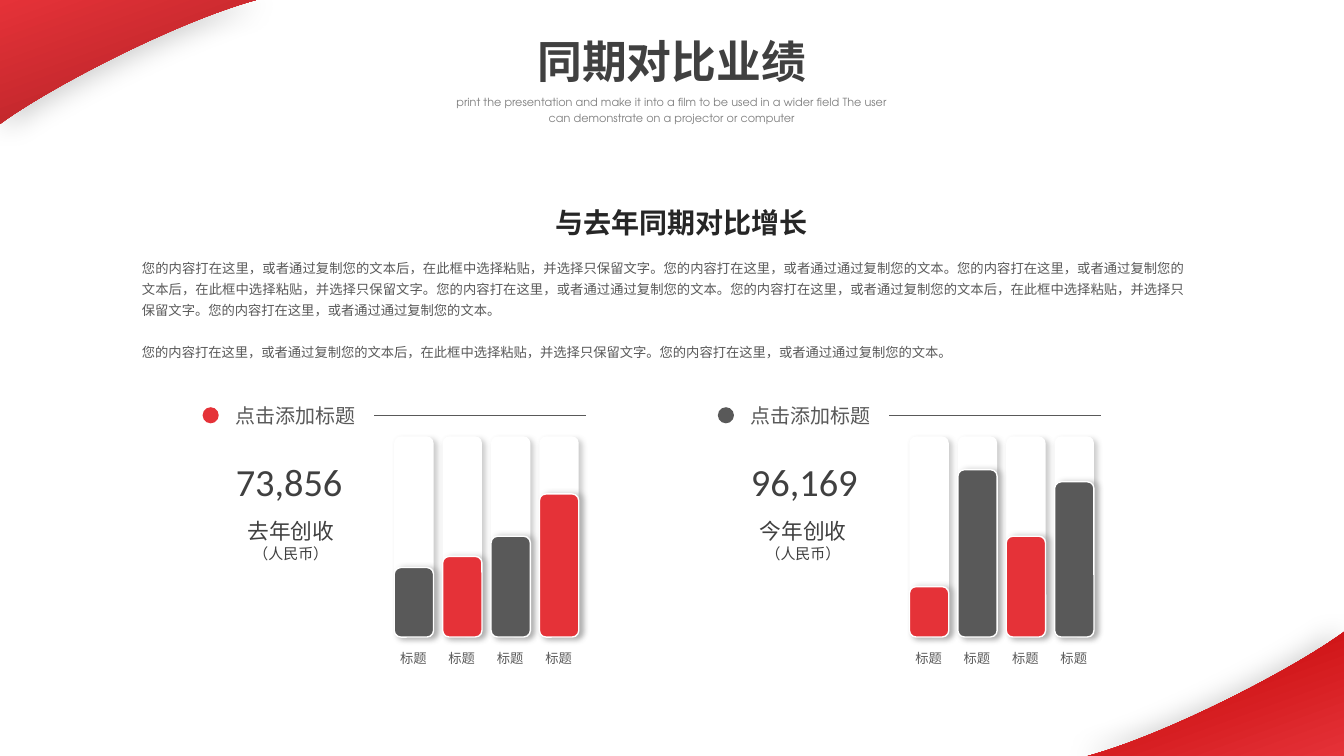
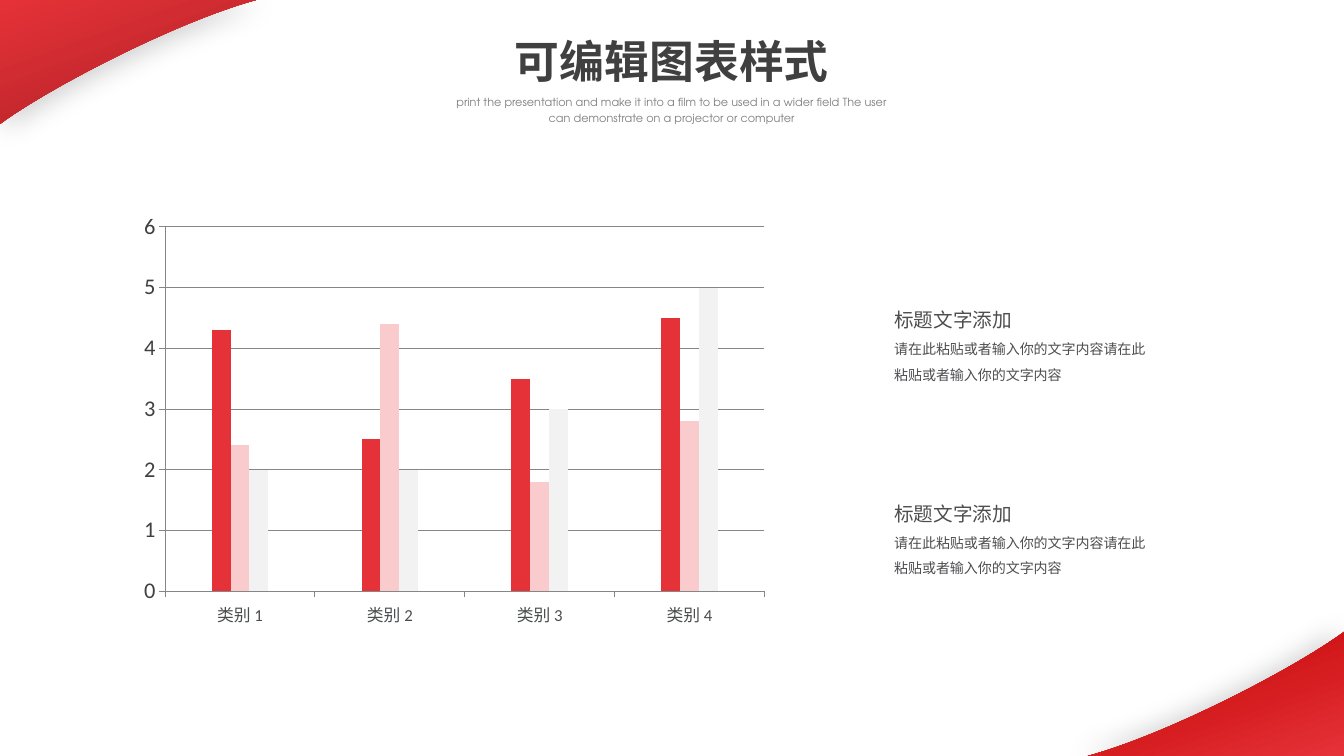
"""Build two slides on year-on-year results: paired bar panels and a column chart."""
from lxml.etree import SubElement
from pptx import Presentation
from pptx.chart.data import CategoryChartData
from pptx.dml.color import RGBColor
from pptx.enum.chart import XL_CHART_TYPE as ChartType
from pptx.enum.shapes import MSO_CONNECTOR as Connector, MSO_SHAPE as Shape
from pptx.enum.text import MSO_AUTO_SIZE as AutoSize, PP_ALIGN as Align
from pptx.oxml.ns import qn
from pptx.util import Inches, Pt

RED = RGBColor(0xE5, 0x32, 0x38)
DEEP_RED = RGBColor(0xAC, 0x21, 0x25)
DARK_RED = RGBColor(0xC0, 0x00, 0x00)
PINK = RGBColor(0xF9, 0xCB, 0xCC)
PALE = RGBColor(0xF2, 0xF2, 0xF2)
WHITE = RGBColor(0xFF, 0xFF, 0xFF)
BLACK = RGBColor(0x00, 0x00, 0x00)
INK = RGBColor(0x26, 0x26, 0x26)
CHARCOAL = RGBColor(0x40, 0x40, 0x40)
AXIS_TEXT = RGBColor(0x4A, 0x4C, 0x4D)
NOTE_TEXT = RGBColor(0x4F, 0x4D, 0x50)
GRAY = RGBColor(0x59, 0x59, 0x59)
LIGHT_GRAY = RGBColor(0x80, 0x80, 0x80)
GRID = RGBColor(0x86, 0x86, 0x86)
CHINESE = "Noto Sans CJK SC"
LATIN = "Calibri"
TITLE_FONT = "TeX Gyre Adventor"
SUBTITLE = ("print the presentation and make it into a film to be used in a wider field "
            "The user can demonstrate on a projector or computer")


def add_text(slide, text, left, top, width, height, sizes=(9.5,), font=CHINESE, color=GRAY,
             bold=False, align=Align.LEFT, wrap=True, grow=True, inset=True,
             line_spacing=None, space_before=0, gap=0):
    """Add a text box; each line of text is a paragraph and the last size repeats."""
    box = slide.shapes.add_textbox(Inches(left), Inches(top), Inches(width), Inches(height))
    frame = box.text_frame
    frame.word_wrap = wrap
    frame.auto_size = AutoSize.SHAPE_TO_FIT_TEXT if grow else AutoSize.NONE
    if not inset:
        frame.margin_left = frame.margin_right = frame.margin_top = frame.margin_bottom = 0
    for index, line in enumerate(text.split("\n")):
        paragraph = frame.add_paragraph() if index else frame.paragraphs[0]
        paragraph.alignment = align
        paragraph.space_before = Pt(gap if index else space_before)
        if line_spacing:
            paragraph.line_spacing = line_spacing
        run = paragraph.add_run()
        run.text = line
        run.font.size = Pt(sizes[min(index, len(sizes) - 1)])
        run.font.bold = bold
        run.font.color.rgb = color
        run.font.name = font
        SubElement(run._r.get_or_add_rPr(), qn("a:ea"), typeface=CHINESE)


def add_shadow(shape, color, alpha, blur, distance, angle):
    """Give the shape an outer shadow; alpha in percent, lengths in points."""
    shape.shadow.inherit = False
    effects = shape.element.spPr.find(qn("a:effectLst"))
    shadow = SubElement(effects, qn("a:outerShdw"), blurRad=str(Pt(blur)), dist=str(Pt(distance)),
                        dir=str(angle * 60000), algn="ctr", rotWithShape="0")
    shade = SubElement(shadow, qn("a:srgbClr"), val=str(color))
    SubElement(shade, qn("a:alpha"), val=str(alpha * 1000))


presentation = Presentation()
presentation.slide_width = Inches(13.33)
presentation.slide_height = Inches(7.5)

curve = [(2.54, 0), (1.74, 0.22), (0.49, 0.87), (0, 1.23)]
STEPS = 32
outline = []
for step in range(STEPS + 1):
    t = step / STEPS
    weights = ((1 - t) ** 3, 3 * t * (1 - t) ** 2, 3 * t * t * (1 - t), t ** 3)
    outline.append([sum(w * point[axis] for w, point in zip(weights, curve)) for axis in (0, 1)])

slides = []
for title in ("同期对比业绩", "可编辑图表样式"):
    slide = presentation.slides.add_slide(presentation.slide_layouts[6])
    slides.append(slide)
    for origin_x, origin_y, sign, end_color, gradient_angle, shadow_angle in (
            (0, 0, 1, DEEP_RED, 290, 45), (13.33, 7.5, -1, DARK_RED, 110, 180)):
        builder = slide.shapes.build_freeform(Inches(origin_x), Inches(origin_y))
        builder.add_line_segments(
            [(Inches(origin_x + sign * x), Inches(origin_y + sign * y)) for x, y in outline])
        corner = builder.convert_to_shape()
        corner.fill.gradient()
        corner.fill.gradient_angle = gradient_angle
        for stop, color, position in zip(corner.fill.gradient_stops, (RED, end_color), (0, 1)):
            stop.color.rgb = color
            stop.position = position
        corner.line.fill.background()
        add_shadow(corner, BLACK, 20, 20, 5, shadow_angle)
    add_text(slide, title, 4.33, 0.29, 4.67, 0.64, sizes=(32,), font=TITLE_FONT,
             color=CHARCOAL, bold=True, align=Align.CENTER)
    add_text(slide, SUBTITLE, 4.33, 0.87, 4.67, 0.42, sizes=(8,), font=TITLE_FONT,
             color=LIGHT_GRAY, align=Align.CENTER, line_spacing=1.2)

results, chart_slide = slides

add_text(results, "与去年同期对比增长", 5.42, 2.04, 2.68, 0.34, sizes=(20,), font=LATIN,
         color=INK, bold=True, align=Align.CENTER, inset=False)
LONG = "您的内容打在这里，或者通过复制您的文本后，在此框中选择粘贴，并选择只保留文字。"
SHORT = "您的内容打在这里，或者通过通过复制您的文本。"
add_text(results, (LONG + SHORT) * 3 + "\n" + LONG + SHORT, 1.31, 2.49, 10.54, 1.14,
         align=Align.JUSTIFY, line_spacing=1.3, gap=15)

BAR_BOTTOM, TRACK_HEIGHT, BAR_WIDTH, BAR_STEP = 6.32, 1.99, 0.39, 0.48
panels = [
    (2.01, RED, "73,856", "去年创收", 2.35, (GRAY, RED), (0.69, 0.8, 1, 1.42)),
    (7.12, GRAY, "96,169", "今年创收", 7.43, (RED, GRAY), (0.5, 1.66, 1, 1.54)),
]
for left, dot_color, amount, caption, caption_left, bar_colors, bar_heights in panels:
    dot = results.shapes.add_shape(Shape.OVAL, Inches(left), Inches(4.04),
                                   Inches(0.16), Inches(0.16))
    dot.fill.solid()
    dot.fill.fore_color.rgb = dot_color
    dot.line.fill.background()
    dot.shadow.inherit = False
    add_text(results, "点击添加标题", left + 0.23, 3.95, 1.4, 0.34, sizes=(14.3,), wrap=False)
    rule = results.shapes.add_connector(Connector.STRAIGHT, Inches(left + 1.7), Inches(4.12),
                                        Inches(left + 3.8), Inches(4.12))
    rule.line.color.rgb = GRAY
    rule.line.width = Pt(0.75)
    SubElement(rule.element.spPr, qn("a:effectLst"))
    add_text(results, amount, left + 0.23, 4.5, 1.5, 0.56, sizes=(27.4,), font=LATIN,
             color=CHARCOAL, wrap=False)
    add_text(results, caption + "\n（人民币）", caption_left, 5.09, 1.07, 0.54,
             sizes=(15.5, 10.7), color=CHARCOAL, align=Align.CENTER, wrap=False)
    bar_lefts = [left + 1.9 + index * BAR_STEP for index in range(len(bar_heights))]
    tracks = [(x, TRACK_HEIGHT, WHITE, 45) for x in bar_lefts]
    bars = [(x, height, bar_colors[index % 2], 0)
            for index, (x, height) in enumerate(zip(bar_lefts, bar_heights))]
    for x, height, color, shadow_angle in tracks + bars:
        bar = results.shapes.add_shape(Shape.ROUNDED_RECTANGLE, Inches(x),
                                       Inches(BAR_BOTTOM - height), Inches(BAR_WIDTH),
                                       Inches(height))
        bar.fill.solid()
        bar.fill.fore_color.rgb = color
        if color == WHITE:
            bar.line.fill.background()
        else:
            bar.line.color.rgb = WHITE
            bar.line.width = Pt(1)
        add_shadow(bar, LIGHT_GRAY, 40, 4, 3, shadow_angle)
    for x in bar_lefts:
        add_text(results, "标题", x - 0.04, 6.4, 0.47, 0.26, wrap=False)

chart_data = CategoryChartData()
chart_data.categories = [f"类别 {number}" for number in range(1, 5)]
chart_data.add_series("Series 1", (4.3, 2.5, 3.5, 4.5))
chart_data.add_series("Series 2", (2.4, 4.4, 1.8, 2.8))
chart_data.add_series("Series 3", (2, 2, 3, 5))
chart = chart_slide.shapes.add_chart(ChartType.COLUMN_CLUSTERED, Inches(1.3), Inches(2.03),
                                     Inches(6.41), Inches(4.27), chart_data).chart
chart.has_legend = False
chart.has_title = False
chart.font.name = LATIN
chart.font.size = Pt(18)
plot = chart.plots[0]
plot.gap_width = 498
plot.vary_by_categories = False
for series, color in zip(plot.series, (RED, PINK, PALE)):
    series.format.fill.solid()
    series.format.fill.fore_color.rgb = color
for axis, size, color in ((chart.category_axis, 12, AXIS_TEXT), (chart.value_axis, 16, CHARCOAL)):
    axis.tick_labels.font.name = LATIN
    axis.tick_labels.font.size = Pt(size)
    axis.tick_labels.font.color.rgb = color
    axis.format.line.color.rgb = GRID
    axis.format.line.width = Pt(0.75)
value_axis = chart.value_axis
value_axis.minimum_scale = 0
value_axis.maximum_scale = 6
value_axis.major_unit = 1
value_axis.has_major_gridlines = True
value_axis.major_gridlines.format.line.color.rgb = GRID
value_axis.major_gridlines.format.line.width = Pt(0.75)

for top in (2.89, 4.81):
    note_style = dict(color=NOTE_TEXT, grow=False, line_spacing=1.5, space_before=10)
    add_text(chart_slide, "标题文字添加", 8.77, top, 2.2, 0.37, sizes=(14,), **note_style)
    add_text(chart_slide, "请在此粘贴或者输入你的文字内容" * 2, 8.77, top + 0.36, 2.75, 0.62,
             sizes=(10,), **note_style)

presentation.save("out.pptx")
